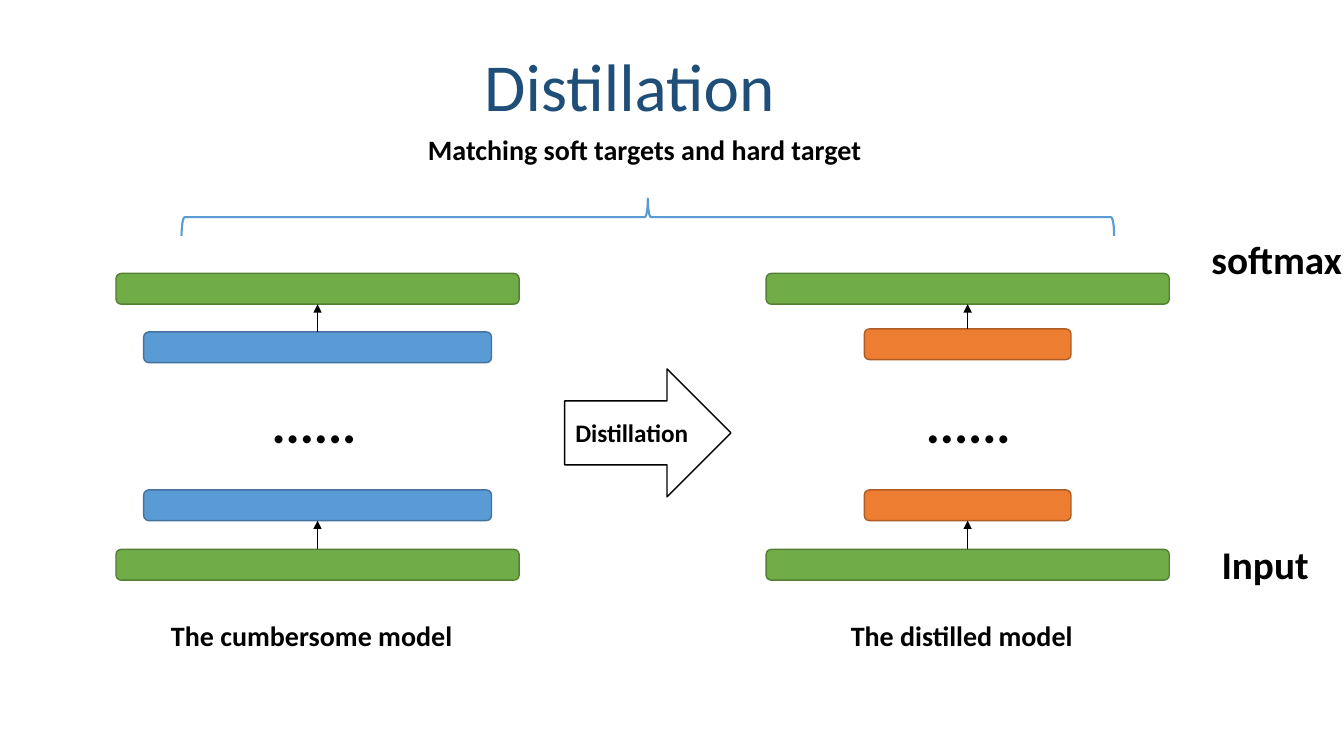
import pptx
import pptx.util
import pptx.dml.color
import pptx.enum.shapes
import pptx.enum.text
import pptx.oxml
import pptx.oxml.ns

SHAPES = pptx.enum.shapes.MSO_SHAPE
WIDTH, HEIGHT = pptx.util.Inches(13.33), pptx.util.Inches(7.5)
COLORS = {
    "black": "000000", "white": "FFFFFF", "title": "1F4E79",
    "green": "70AD47", "green edge": "538035",
    "blue": "5B9BD5", "blue edge": "43739E",
    "orange": "ED7D31", "orange edge": "AF5C24",
}
LABEL = {"size": 20, "bold": True, "color": "black"}
SIDE_LABEL = {**LABEL, "size": 28}
ARROW_LABEL = {**LABEL, "size": 18}
DOTS = {**LABEL, "size": 40, "bold": False}
TITLE = {"size": 48, "bold": False, "color": "title"}

# Shares of the slide, in percent
MIDDLE = 48.2
BAR_HEIGHT = 4.07
OUTER_WIDTH = 30
OUTPUT_TOP, LOWER_TOP, INPUT_TOP = 36.17, 64.8, 72.67


def across(share):
    return round(WIDTH * share / 100)


def down(share):
    return round(HEIGHT * share / 100)


def frame(center, top, width, height):
    return across(center - width / 2), down(top), across(width), down(height)


def rgb(name):
    return pptx.dml.color.RGBColor.from_string(COLORS[name])


def write(holder, text, style):
    holder.text_frame.word_wrap = True
    para = holder.text_frame.paragraphs[0]
    para.alignment = pptx.enum.text.PP_ALIGN.CENTER
    span = para.add_run()
    span.text = text
    formats = {"name": "Calibri", "size": pptx.util.Pt(style["size"]), "bold": style["bold"]}
    for key, value in formats.items():
        setattr(span.font, key, value)
    span.font.color.rgb = rgb(style["color"])


def add_text(page, text, style, *place):
    write(page.shapes.add_textbox(*frame(*place)), text, style)


def add_figure(page, kind, fill, edge, *place, weight=1):
    figure = page.shapes.add_shape(kind, *frame(*place))
    figure.shadow.inherit = False
    if fill:
        figure.fill.solid()
        figure.fill.fore_color.rgb = rgb(fill)
    else:
        figure.fill.background()
    figure.line.color.rgb = rgb(edge)
    figure.line.width = pptx.util.Pt(weight)
    return figure


def add_bar(page, color, center, top, width):
    return add_figure(page, SHAPES.ROUNDED_RECTANGLE, color, color + " edge",
                      center, top, width, BAR_HEIGHT)


def add_arrow(page, lower, upper):
    arrow = page.shapes.add_connector(pptx.enum.shapes.MSO_CONNECTOR.STRAIGHT, 0, 0, 0, 0)
    arrow.begin_connect(lower, 0)
    arrow.end_connect(upper, 2)
    arrow.line.color.rgb = rgb("black")
    arrow.line.width = pptx.util.Pt(1)
    head = pptx.oxml.ns.qn("a:tailEnd")
    arrow.line._get_or_add_ln().append(arrow._element.makeelement(head, {"type": "triangle"}))
    properties = arrow._element.spPr
    properties.append(properties.makeelement(pptx.oxml.ns.qn("a:effectLst"), {}))


def add_model(page, caption, color, center, inner_width, upper_top):
    output = add_bar(page, "green", center, OUTPUT_TOP, OUTER_WIDTH)
    upper = add_bar(page, color, center, upper_top, inner_width)
    lower = add_bar(page, color, center, LOWER_TOP, inner_width)
    source = add_bar(page, "green", center, INPUT_TOP, OUTER_WIDTH)
    add_arrow(page, upper, output)
    add_arrow(page, source, lower)
    add_text(page, caption, LABEL, center - 0.2, 81.1, 24, 5.83)


def main():
    deck = pptx.Presentation()
    deck.slide_width, deck.slide_height = WIDTH, HEIGHT
    page = deck.slides.add_slide(deck.slide_layouts[6])

    # Heading and the brace over both models
    add_text(page, "Distillation ", TITLE, 47.4, 5.2, 39.6, 12.1)
    add_text(page, "Matching soft targets and hard target ", LABEL, MIDDLE, 16.93, 56.4, 5.83)
    brace = add_figure(page, SHAPES.LEFT_BRACE, None, "blue",
                       MIDDLE, -32.93, 2.78, 123.33, weight=1.5)
    brace.rotation = 90

    # The two models
    add_model(page, "The cumbersome model ", "blue", 23.63, 25.88, 43.9)
    add_model(page, "The distilled model ", "orange", 72, 15.38, 43.5)
    for center in (23.36, 72.04):
        add_text(page, "······", DOTS, center, 52.2, 9.08, 10.27)

    # Step from one model to the other
    step = add_figure(page, SHAPES.RIGHT_ARROW, "white", "black", MIDDLE, 48.8, 12.38, 16.93)
    write(step, "Distillation ", ARROW_LABEL)
    step.text_frame.vertical_anchor = pptx.enum.text.MSO_ANCHOR.MIDDLE

    # Layer names at the right edge
    add_text(page, "softmax", SIDE_LABEL, 94.99, 30.5, 12.83, 7.6)
    add_text(page, "Input ", SIDE_LABEL, 94.46, 70.8, 8.93, 7.6)

    deck.save("out.pptx")


if __name__ == "__main__":
    main()
